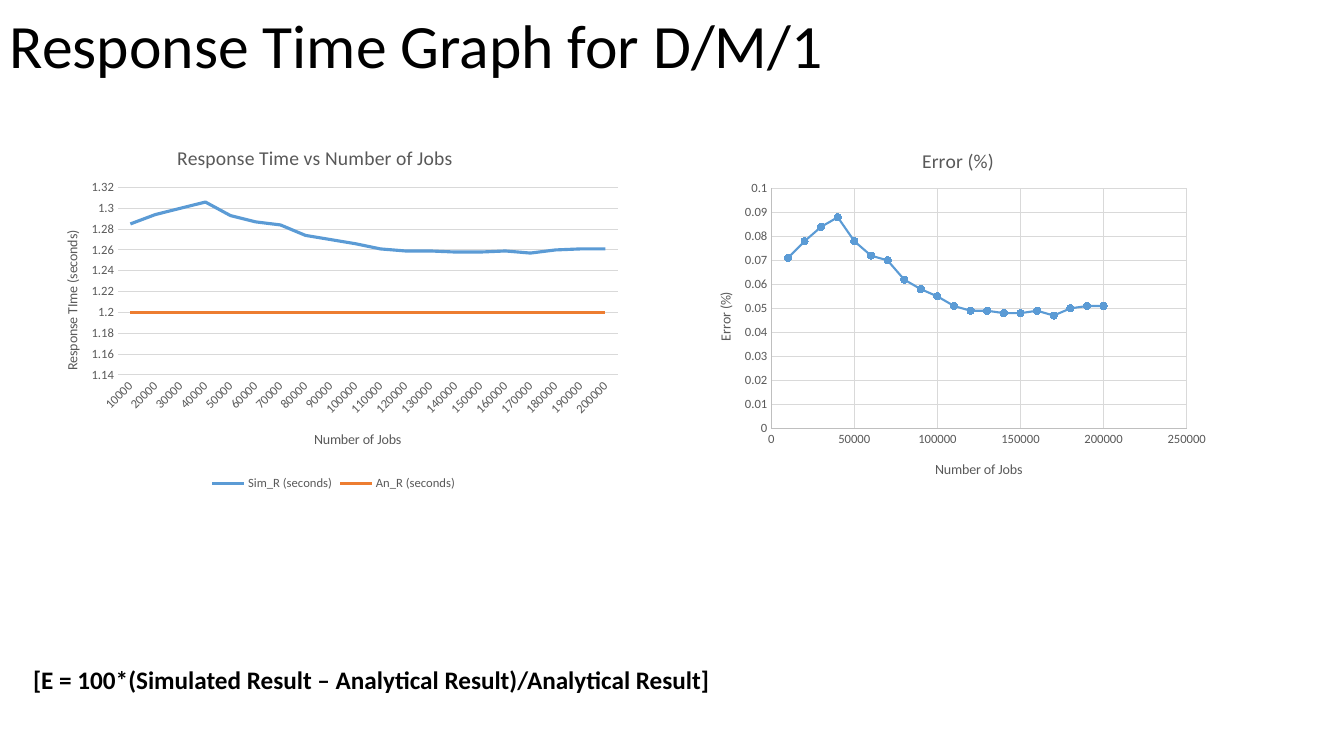
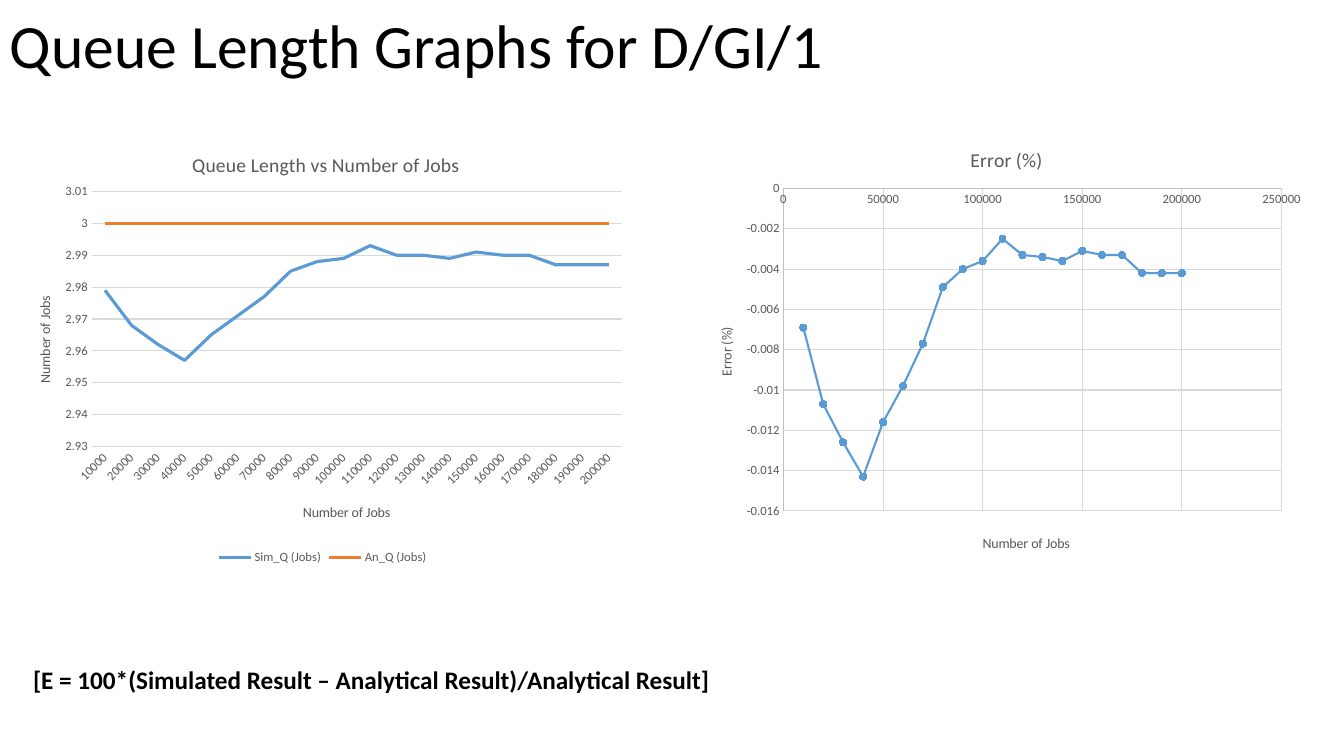
"""Build two slides that compare simulated and analytical queue results."""
from lxml import etree
from pptx import Presentation
from pptx.chart.data import CategoryChartData, XyChartData
from pptx.dml.color import RGBColor
from pptx.enum.chart import XL_CHART_TYPE, XL_LEGEND_POSITION, XL_MARKER_STYLE, XL_TICK_MARK
from pptx.enum.text import MSO_ANCHOR, MSO_AUTO_SIZE
from pptx.oxml.ns import qn
from pptx.util import Inches, Pt

LINE, SCATTER = XL_CHART_TYPE.LINE, XL_CHART_TYPE.XY_SCATTER_LINES
BOTTOM, CIRCLE, NO_TICK = XL_LEGEND_POSITION.BOTTOM, XL_MARKER_STYLE.CIRCLE, XL_TICK_MARK.NONE
MIDDLE, GROW = MSO_ANCHOR.MIDDLE, MSO_AUTO_SIZE.SHAPE_TO_FIT_TEXT

BLACK = RGBColor(0x00, 0x00, 0x00)
GRAY = RGBColor(0x59, 0x59, 0x59)
GRID_GRAY = RGBColor(0xD9, 0xD9, 0xD9)
AXIS_GRAY = RGBColor(0xBF, 0xBF, 0xBF)
BLUE = RGBColor(0x5B, 0x9B, 0xD5)
ORANGE = RGBColor(0xED, 0x7D, 0x31)

FONT = "Calibri"
CELL = Inches(1)
COLUMNS, ROWS = 13.33, 7.5
FORMULA = "[E = 100*(Simulated Result – Analytical Result)/Analytical Result]"
FORMULA_BOX = (0.23, 6.54, 12.27, 0.4)
JOBS = range(10000, 200001, 10000)

SLIDES = [
    {
        "heading": "Response Time Graph for D/M/1",
        "heading_box": (0, 0, 11.5, 0.96),
        "charts": [
            {
                "kind": LINE, "frame": (0.37, 1.24, 5.88, 3.67), "plot": (1.17, 1.86, 4.96, 1.86),
                "title": ("Response Time vs Number of Jobs", 1.72, 1.4),
                "x_title": ("Number of Jobs", 3.09, 4.24),
                "y_title": ("Response TIme (seconds)", 0.6, 2.26),
                "scale": (1.14, 1.32, 0.02),
                "series": {
                    "Sim_R (seconds)": [1.285, 1.294, 1.3, 1.306, 1.293, 1.287, 1.284, 1.274, 1.27, 1.266,
                                        1.261, 1.259, 1.259, 1.258, 1.258, 1.259, 1.257, 1.26, 1.261, 1.261],
                    "An_R (seconds)": [1.2] * len(JOBS),
                },
            },
            {
                "kind": SCATTER, "frame": (6.87, 1.24, 5.2, 3.67), "plot": (7.65, 1.87, 4.12, 2.38),
                "title": ("Error (%)", 9.11, 1.43),
                "x_title": ("Number of Jobs", 9.25, 4.54),
                "y_title": ("Error (%)", 7.08, 2.87),
                "scale": (0, 0.1, 0.01),
                "series": {
                    "Error (%)": [0.071, 0.078, 0.084, 0.088, 0.078, 0.072, 0.07, 0.062, 0.058, 0.055,
                                  0.051, 0.049, 0.049, 0.048, 0.048, 0.049, 0.047, 0.05, 0.051, 0.051],
                },
            },
        ],
    },
    {
        "heading": "Queue Length Graphs for D/GI/1",
        "heading_box": (0, 0.1, 11.5, 0.77),
        "charts": [
            {
                "kind": SCATTER, "frame": (6.87, 1.22, 6.15, 4.43), "plot": (7.77, 1.87, 4.94, 3.2),
                "title": ("Error (%)", 9.59, 1.42),
                "x_title": ("Number of Jobs", 9.72, 5.27),
                "y_title": ("Error (%)", 7.09, 3.22),
                "scale": (-0.016, 0, 0.002),
                "series": {
                    "Error (%)": [-0.0069, -0.0107, -0.0126, -0.0143, -0.0116, -0.0098, -0.0077,
                                  -0.0049, -0.004, -0.0036, -0.0025, -0.0033, -0.0034, -0.0036,
                                  -0.0031, -0.0033, -0.0033, -0.0042, -0.0042, -0.0042],
                },
            },
            {
                "kind": LINE, "frame": (0.1, 1.27, 6.2, 4.37), "plot": (0.91, 1.9, 5.26, 2.53),
                "title": ("Queue Length vs Number of Jobs", 1.87, 1.47),
                "x_title": ("Number of Jobs", 2.98, 4.97),
                "y_title": ("Number of Jobs", 0.33, 2.91),
                "scale": (2.93, 3.01, 0.01),
                "series": {
                    "Sim_Q (Jobs)": [2.979, 2.968, 2.962, 2.957, 2.965, 2.971, 2.977, 2.985, 2.988, 2.989,
                                     2.993, 2.99, 2.99, 2.989, 2.991, 2.99, 2.99, 2.987, 2.987, 2.987],
                    "An_Q (Jobs)": [3] * len(JOBS),
                },
            },
        ],
    },
]


def add_words(frame, words, size, color, bold=False):
    paragraph = frame.paragraphs[0]
    run = paragraph.add_run()
    run.text = words
    run.font.name, run.font.size, run.font.bold = FONT, Pt(size), bold
    run.font.color.rgb = color
    return paragraph


def place(element, frame, left, top, *extent):
    layout = element.find(qn("c:layout"))
    if layout is None:
        layout = etree.Element(qn("c:layout"))
        element.insert(0, layout)
    manual = etree.SubElement(layout, qn("c:manualLayout"))
    values = [("xMode", "edge"), ("yMode", "edge"),
              ("x", (left - frame[0]) / frame[2]), ("y", (top - frame[1]) / frame[3])]
    if extent:
        values.insert(0, ("layoutTarget", "inner"))
        values += [("w", extent[0] / frame[2]), ("h", extent[1] / frame[3])]
    for tag, value in values:
        etree.SubElement(manual, qn("c:" + tag)).set("val", str(value))


deck = Presentation()
deck.slide_width, deck.slide_height = int(COLUMNS * CELL), int(ROWS * CELL)

for page in SLIDES:
    slide = deck.slides.add_slide(deck.slide_layouts[6])

    heading = slide.shapes.add_textbox(*(int(n * CELL) for n in page["heading_box"])).text_frame
    heading.word_wrap = True
    heading.vertical_anchor = MIDDLE
    add_words(heading, page["heading"], 44, BLACK).line_spacing = 0.9

    formula = slide.shapes.add_textbox(*(int(n * CELL) for n in FORMULA_BOX)).text_frame
    formula.word_wrap = True
    formula.auto_size = GROW
    add_words(formula, FORMULA, 18, BLACK, bold=True)

    for graph in page["charts"]:
        is_line = graph["kind"] == LINE
        frame = graph["frame"]
        data = CategoryChartData() if is_line else XyChartData()
        if is_line:
            data.categories = [str(count) for count in JOBS]
        for name, values in graph["series"].items():
            if is_line:
                data.add_series(name, values)
            else:
                points = data.add_series(name)
                for count, value in zip(JOBS, values):
                    points.add_data_point(count, value)

        chart = slide.shapes.add_chart(graph["kind"], *(int(n * CELL) for n in frame), data).chart
        chart.font.name, chart.font.size = FONT, Pt(10)
        chart.font.color.rgb = BLACK
        chart.plots[0].vary_by_categories = False
        chart.has_legend = is_line
        if is_line:
            chart.legend.position = BOTTOM
            chart.legend.include_in_layout = False
            chart.legend.font.name, chart.legend.font.size = FONT, Pt(9)
            chart.legend.font.color.rgb = GRAY

        chart.has_title = True
        x_axis, y_axis = chart.category_axis, chart.value_axis
        for owner, part, size in ((chart.chart_title, "title", 14),
                                  (x_axis.axis_title, "x_title", 10),
                                  (y_axis.axis_title, "y_title", 10)):
            words, left, top = graph[part]
            add_words(owner.text_frame, words, size, GRAY)
            place(owner._element, frame, left, top)
        turned = y_axis.axis_title.text_frame._bodyPr
        turned.set("rot", "-5400000")
        turned.set("vert", "horz")

        for axis in (x_axis, y_axis):
            axis.major_tick_mark = axis.minor_tick_mark = NO_TICK
            axis.tick_labels.font.name, axis.tick_labels.font.size = FONT, Pt(9)
            axis.tick_labels.font.color.rgb = GRAY
            axis.tick_labels.number_format = "General"
            axis.tick_labels.number_format_is_linked = False
            axis.has_major_gridlines = axis is y_axis or not is_line
            if axis.has_major_gridlines:
                axis.major_gridlines.format.line.color.rgb = GRID_GRAY
                axis.major_gridlines.format.line.width = Pt(0.75)
            axis.format.line.color.rgb = GRID_GRAY if is_line else AXIS_GRAY
            axis.format.line.width = Pt(0.75)
        y_axis.minimum_scale, y_axis.maximum_scale, y_axis.major_unit = graph["scale"]
        if is_line:
            y_axis.format.line.fill.background()
            x_axis._element.find(qn("c:txPr")).find(qn("a:bodyPr")).set("rot", "-2700000")
        else:
            x_axis.minimum_scale, x_axis.maximum_scale, x_axis.major_unit = 0, 250000, 50000

        for series, color in zip(chart.plots[0].series, (BLUE, ORANGE)):
            series.smooth = False
            series.format.line.color.rgb = color
            series.format.line.width = Pt(2.25 if is_line else 1.5)
            if is_line:
                series.marker.style = XL_MARKER_STYLE.NONE
            else:
                series.marker.style, series.marker.size = CIRCLE, 5
                series.marker.format.fill.solid()
                series.marker.format.fill.fore_color.rgb = color
                series.marker.format.line.color.rgb = color

        place(chart._chartSpace.find(qn("c:chart")).find(qn("c:plotArea")), frame, *graph["plot"])

deck.save("out.pptx")
